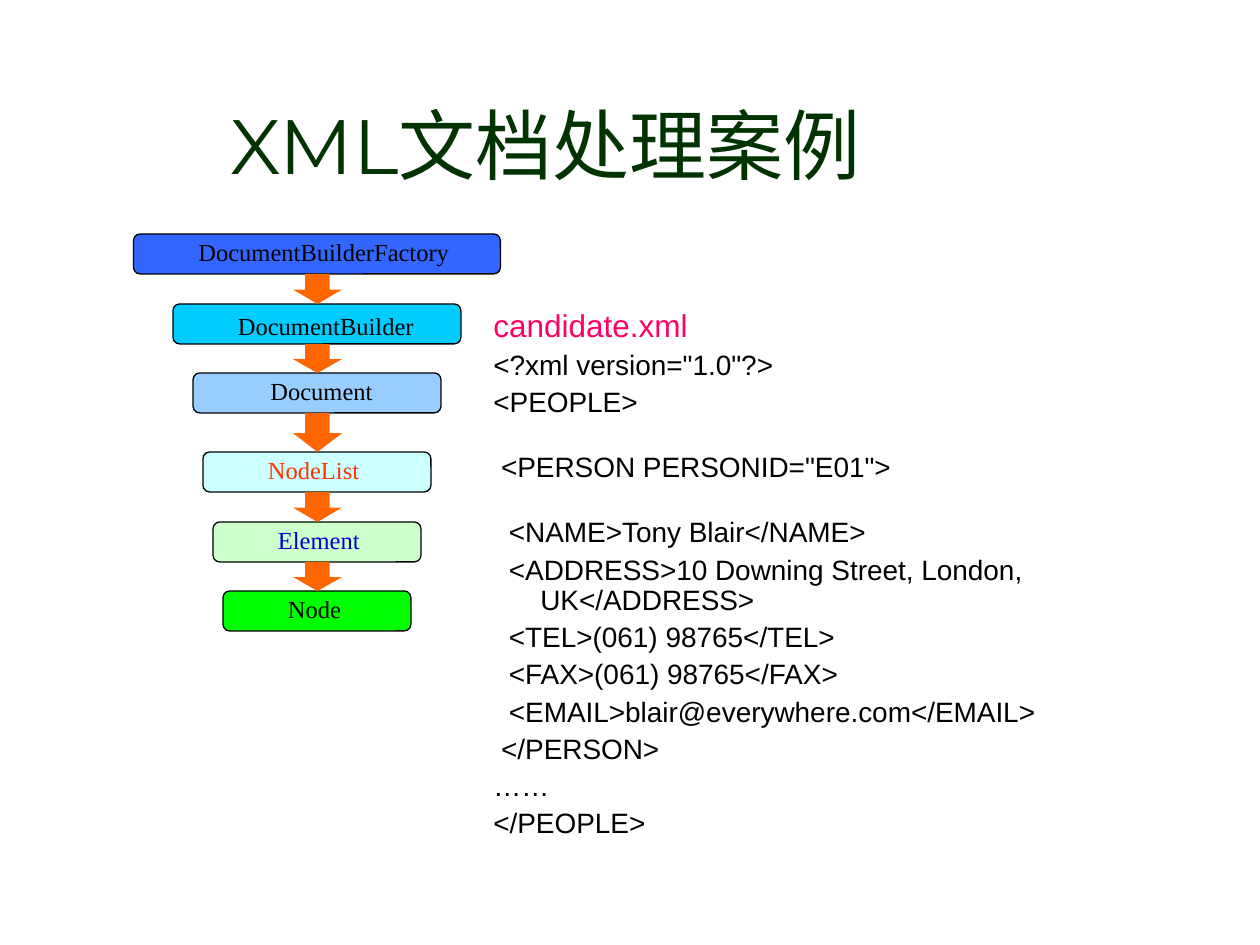
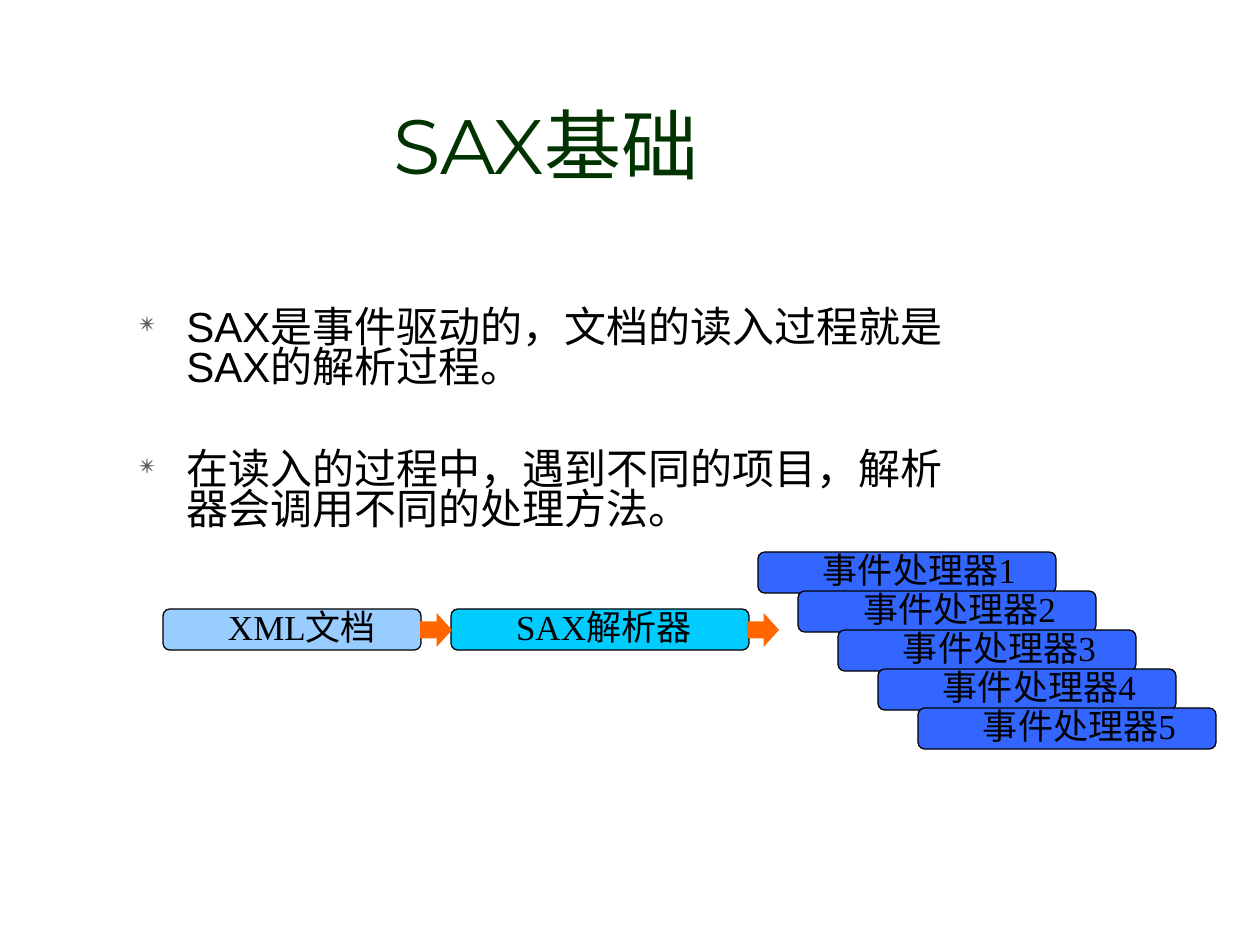
from lxml.etree import SubElement
from pptx import Presentation
from pptx.dml.color import RGBColor
from pptx.enum.shapes import MSO_SHAPE
from pptx.enum.text import MSO_ANCHOR, PP_ALIGN
from pptx.oxml.ns import qn
from pptx.util import Emu, Pt

PX = 914400 / 126

BLACK = RGBColor(0x00, 0x00, 0x00)
DARK_GREEN = RGBColor(0x00, 0x33, 0x00)
PINK = RGBColor(0xFF, 0x00, 0x66)
ORANGE = RGBColor(0xFF, 0x66, 0x00)
RED = RGBColor(0xFF, 0x33, 0x00)
NAVY = RGBColor(0x00, 0x00, 0xCC)
BLUE = RGBColor(0x33, 0x66, 0xFF)
CYAN = RGBColor(0x00, 0xCC, 0xFF)
SKY = RGBColor(0x99, 0xCC, 0xFF)
PALE_CYAN = RGBColor(0xCC, 0xFF, 0xFF)
PALE_GREEN = RGBColor(0xCC, 0xFF, 0xCC)
GREEN = RGBColor(0x00, 0xFF, 0x00)

FRAME = {"word_wrap": True, "margin_left": Emu(91440), "margin_right": Emu(91440),
         "margin_top": Emu(45720), "margin_bottom": Emu(45720)}
TITLE = {"font": "Montserrat", "size": 44, "color": DARK_GREEN,
         "para": {"alignment": PP_ALIGN.CENTER}}
BOX = {"font": "Times New Roman", "size": 14, "color": BLACK,
       "left": 126, "indent": -63, "para": {"line_spacing": 0.9}}
BOX_LARGE = {**BOX, "size": 20}
CODE = {"font": "Arial", "size": 16, "color": BLACK,
        "left": 47, "indent": -47, "para": {"line_spacing": 0.9}}
BULLET = {"font": "Arial", "size": 24, "color": BLACK, "bullet": "✴",
          "left": 47, "indent": -47, "para": {"line_spacing": 0.8}}


def add_text(sp, lines, fmt, **frame):
    """Fill a shape with (text, space before, overrides) lines."""
    tf = sp.text_frame
    for name, value in {**FRAME, **frame}.items():
        setattr(tf, name, value)
    for i, (text, before, extra) in enumerate(lines):
        f = {**fmt, **extra}
        p = tf.add_paragraph() if i else tf.paragraphs[0]
        pPr = p._p.get_or_add_pPr()
        pPr.set("marL", str(round(f.get("left", 0) * PX)))
        pPr.set("indent", str(round(f.get("indent", 0) * PX)))
        if "bullet" in f:
            SubElement(SubElement(pPr, qn("a:buClr")), qn("a:srgbClr"), val="5F5F5F")
            SubElement(pPr, qn("a:buSzPct"), val="65000")
            SubElement(pPr, qn("a:buChar"), char=f["bullet"])
        para = {"alignment": PP_ALIGN.LEFT, "space_before": Pt(before), **f["para"]}
        for name, value in para.items():
            setattr(p, name, value)
        r = p.add_run()
        r.text = text
        for name, value in {"name": f["font"], "size": Pt(f["size"])}.items():
            setattr(r.font, name, value)
        r.font.color.rgb = f["color"]


def add_block(s, kind, at, fill, outlined=True):
    """Add a filled preset shape, with a thin black outline if wanted."""
    sp = s.shapes.add_shape(kind, *(Emu(round(v * PX)) for v in at))
    sp.shadow.inherit = False
    sp.fill.solid()
    sp.fill.fore_color.rgb = fill
    if outlined:
        sp.line.color.rgb = BLACK
        sp.line.width = Pt(0.75)
    else:
        sp.line.fill.background()
        sp.adjustments[0], sp.adjustments[1] = 0.5, 0.48
    return sp


prs = Presentation()
prs.slide_width, prs.slide_height = Emu(round(1260 * PX)), Emu(round(945 * PX))

code = [
    ("candidate.xml", 0, {"size": 18, "color": PINK}),
    ('<?xml version="1.0"?>', 4, {}),
    ("<PEOPLE>", 4, {}),
    (' <PERSON PERSONID="E01">', 20, {}),
    ("  <NAME>Tony Blair</NAME>", 20, {}),
    ("  <ADDRESS>10 Downing Street, London, UK</ADDRESS>", 4, {}),
    ("  <TEL>(061) 98765</TEL>", 4, {}),
    ("  <FAX>(061) 98765</FAX>", 4, {}),
    ("  <EMAIL>blair@everywhere.com</EMAIL>", 4, {}),
    (" </PERSON>", 4, {}),
    ("……", 4, {}),
    ("</PEOPLE>", 4, {}),
]
points = [
    ("SAX是事件驱动的，文档的读入过程就是SAX的解析过程。", 0, {}),
    ("在读入的过程中，遇到不同的项目，解析器会调用不同的处理方法。", 35, {}),
]

# Titles and body text
slides = []
for title, body_at, lines, fmt in [
    ("XML文档处理案例", (481, 304, 735, 582), code, CODE),
    ("SAX基础", (127, 304, 857, 243), points, BULLET),
]:
    s = prs.slides.add_slide(prs.slide_layouts[6])
    slides.append(s)
    sp = s.shapes.add_textbox(*(Emu(round(v * PX)) for v in (31, 91, 1030, 105)))
    add_text(sp, [(title, 0, {})], TITLE, vertical_anchor=MSO_ANCHOR.MIDDLE)
    sp = s.shapes.add_textbox(*(Emu(round(v * PX)) for v in body_at))
    add_text(sp, lines, fmt, vertical_anchor=MSO_ANCHOR.TOP)

# Slide 1: chain of DOM classes, centred on one axis
s = slides[0]
axis, box_h = 317, 40
chain = [
    ("DocumentBuilderFactory", 234, 367, BLUE, BLACK, {}),
    ("DocumentBuilder", 304, 288, CYAN, BLACK, {"margin_top": Emu(91440)}),
    ("Document", 373, 248, SKY, BLACK, {"margin_left": Emu(91440)}),
    ("NodeList", 452, 228, PALE_CYAN, RED, {}),
    ("Element", 522, 208, PALE_GREEN, NAVY, {}),
    ("Node", 591, 188, GREEN, BLACK, {}),
]
for text, top, width, fill, color, frame in chain:
    sp = add_block(s, MSO_SHAPE.FLOWCHART_ALTERNATE_PROCESS,
                   (axis - width / 2, top, width, box_h), fill)
    add_text(sp, [(text, 0, {"color": color})], BOX,
             **{"margin_left": 0, "vertical_anchor": MSO_ANCHOR.MIDDLE, **frame})
for upper, lower in zip(chain, chain[1:]):
    top = upper[1] + box_h
    add_block(s, MSO_SHAPE.DOWN_ARROW, (axis - 24, top, 49, lower[1] - top),
              ORANGE, outlined=False)

# Slide 2: document, parser and a staircase of handlers
s = slides[1]
flow = [("SAX解析器", 451, 609, 298, CYAN), ("XML文档", 163, 609, 258, SKY)]
flow += [(f"事件处理器{i + 1}", 758 + 40 * i, 552 + 39 * i, 298, BLUE) for i in range(5)]
for text, left, top, width, fill in flow:
    sp = add_block(s, MSO_SHAPE.FLOWCHART_ALTERNATE_PROCESS,
                   (left, top, width, 41), fill)
    add_text(sp, [(text, 0, {})], BOX_LARGE,
             margin_left=0, vertical_anchor=MSO_ANCHOR.MIDDLE)
for left in (420, 747):
    add_block(s, MSO_SHAPE.RIGHT_ARROW, (left, 613, 32, 34), ORANGE, outlined=False)

prs.save("out.pptx")
